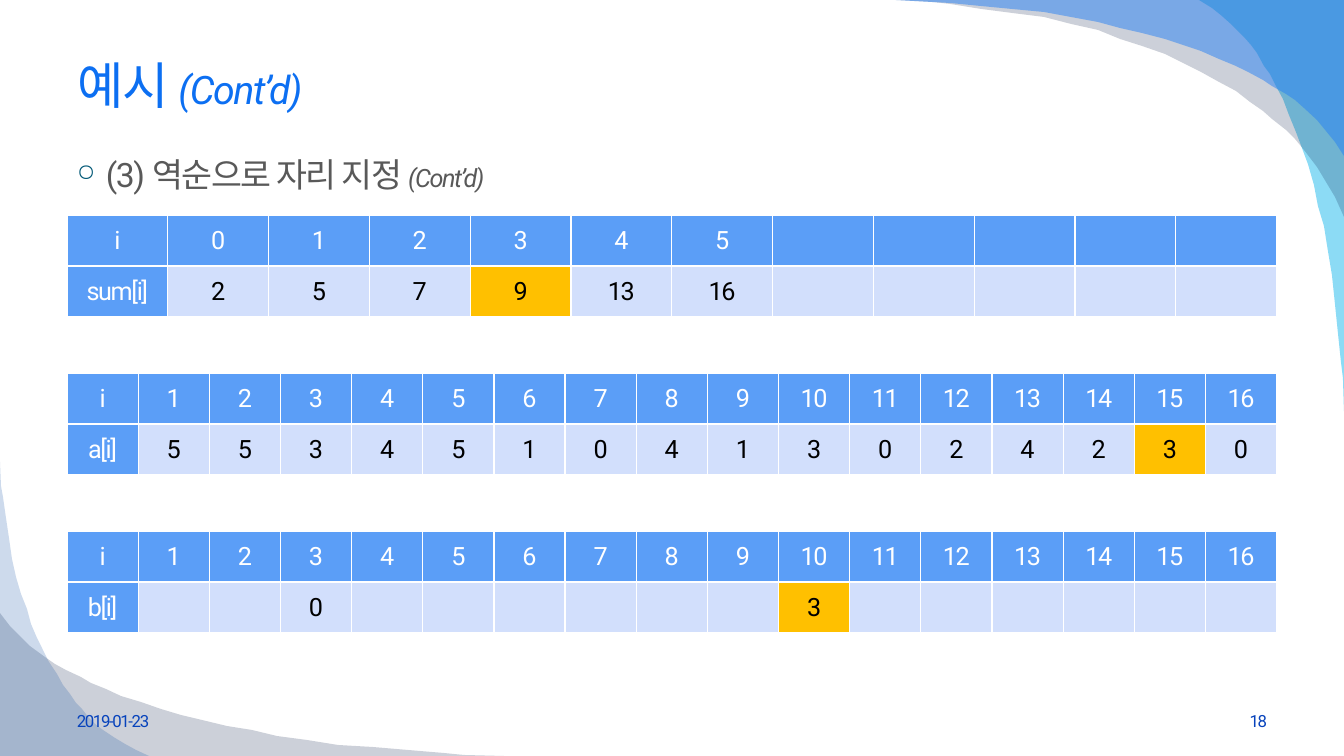
import pptx
import pptx.util
import pptx.dml.color
import pptx.enum.text
import lxml.etree

PX = 914400 / 100.8
FONT = "Roboto"
RGB = pptx.dml.color.RGBColor
ALIGN = pptx.enum.text.PP_ALIGN
MIDDLE = pptx.enum.text.MSO_ANCHOR.MIDDLE
TOP = pptx.enum.text.MSO_ANCHOR.TOP

WHITE = RGB(0xFF, 0xFF, 0xFF)
BLACK = RGB(0x00, 0x00, 0x00)
TITLE_BLUE = RGB(0x0C, 0x6F, 0xF2)
BODY_GREY = RGB(0x59, 0x59, 0x59)
FOOTER_BLUE = RGB(0x07, 0x43, 0xBC)
HEADER_BLUE = RGB(0x5B, 0x9E, 0xF7)
CELL_BLUE = RGB(0xD2, 0xDF, 0xFC)
HIGHLIGHT = RGB(0xFF, 0xC0, 0x00)
SWEEP_CYAN = RGB(0x00, 0xB1, 0xE9)
SWEEP_NAVY = RGB(0x02, 0x17, 0x41)
SWEEP_BLUE = RGB(0x24, 0x7F, 0xF4)
SWEEP_STEEL = RGB(0x08, 0x4A, 0xA1)


def px(length):
    return pptx.util.Emu(round(length * PX))


def add_run(paragraph, text, size, color, italic=False):
    run = paragraph.add_run()
    run.text = text
    run.font.name = FONT
    run.font.size = pptx.util.Pt(size)
    run.font.bold = False
    run.font.italic = italic
    run.font.color.rgb = color
    run.font._element.set("spc", "-100")


deck = pptx.Presentation()
deck.slide_width, deck.slide_height = px(1344), px(756)
slide = deck.slides.add_slide(deck.slide_layouts[5])

# Corner sweeps: one curve profile (along, across), stretched to each corner
PROFILE = [
    (0, 0), (.08, .01), (.12, .02), (.19, .04), (.26, .06), (.33, .08),
    (.39, .11), (.45, .14), (.5, .18), (.55, .21), (.6, .25), (.64, .29),
    (.68, .33), (.72, .38), (.76, .42), (.79, .47), (.82, .51), (.84, .55),
    (.87, .6), (.89, .64), (.91, .69), (.94, .77), (.96, .84), (.98, .91),
    (1, 1),
]
# tip, corner, end, colour, opacity in percent
sweeps = [
    ((1344, 411), (1344, 0), (1199, 0), SWEEP_CYAN, 45),
    ((896, 0), (1344, 0), (1344, 217), SWEEP_NAVY, 20),
    ((896, 0), (1344, 0), (1344, 156), SWEEP_BLUE, 49),
    ((504, 756), (0, 756), (0, 613), SWEEP_NAVY, 20),
    ((0, 462), (0, 756), (149, 756), SWEEP_STEEL, 20),
]
for tip, corner, end, color, opacity in sweeps:
    curve = [
        tuple(t + along * (c - t) + across * (e - c) for t, c, e in zip(tip, corner, end))
        for along, across in PROFILE
    ]
    outline = slide.shapes.build_freeform(*corner, scale=PX)
    outline.add_line_segments(curve, close=True)
    sweep = outline.convert_to_shape()
    sweep.shadow.inherit = False
    sweep.line.fill.background()
    sweep.fill.solid()
    sweep.fill.fore_color.rgb = color
    tint = sweep.fill._xPr.find(".//" + pptx.oxml.ns.qn("a:srgbClr"))
    lxml.etree.SubElement(tint, pptx.oxml.ns.qn("a:alpha"), val=str(opacity * 1000))

# Title, in front of the sweeps
title = slide.shapes.title
title.element.getparent().append(title.element)
title.left, title.top, title.width, title.height = px(67), px(33), px(1210), px(102)
title.text_frame.auto_size = pptx.enum.text.MSO_AUTO_SIZE.NONE
title.text_frame.vertical_anchor = MIDDLE
heading = title.text_frame.paragraphs[0]
heading.alignment = ALIGN.LEFT
add_run(heading, "예시 ", 36, TITLE_BLUE)
add_run(heading, "(Cont’d)", 28, TITLE_BLUE, italic=True)

# Step line, date and page number
lines = [
    (67, 149, 1210, 60, TOP, ALIGN.LEFT, BODY_GREY,
     [("(3) 역순으로 자리 지정 ", 24, False), ("(Cont’d)", 18, True)], True),
    (67, 701, 313, 40, MIDDLE, ALIGN.LEFT, FOOTER_BLUE, [("2019-01-23", 12, False)], False),
    (964, 701, 313, 40, MIDDLE, ALIGN.RIGHT, FOOTER_BLUE, [("18", 12, False)], False),
]
for left, top, width, height, anchor, alignment, color, runs, bulleted in lines:
    frame = slide.shapes.add_textbox(px(left), px(top), px(width), px(height)).text_frame
    frame.word_wrap = True
    frame.vertical_anchor = anchor
    line = frame.paragraphs[0]
    line.alignment = alignment
    if bulleted:
        properties = line._p.get_or_add_pPr()
        properties.set("marL", str(px(29)))
        properties.set("indent", str(-px(29)))
        bullet_color = lxml.etree.SubElement(properties, pptx.oxml.ns.qn("a:buClr"))
        lxml.etree.SubElement(bullet_color, pptx.oxml.ns.qn("a:srgbClr"), val="005876")
        lxml.etree.SubElement(properties, pptx.oxml.ns.qn("a:buSzPct"), val="70000")
        lxml.etree.SubElement(properties, pptx.oxml.ns.qn("a:buChar"), char="○")
    for text, size, italic in runs:
        add_run(line, text, size, color, italic)

# Arrays: label, indexes, values by index, column count, highlighted index
arrays = [
    ("sum[i]", range(6), dict(enumerate([2, 5, 7, 9, 13, 16])), 12, 3),
    ("a[i]", range(1, 17),
     dict(enumerate([5, 5, 3, 4, 5, 1, 0, 4, 1, 3, 0, 2, 4, 2, 3, 0], start=1)), 17, 15),
    ("b[i]", range(1, 17), {3: 0, 10: 3}, 17, 10),
]
for position, (label, indexes, values, columns, current) in enumerate(arrays):
    table = slide.shapes.add_table(
        2, columns, px(67), px(215 + 158 * position), px(1210), px(102)).table
    table.first_col = True
    table.horz_banding = False
    header = ["i", *indexes]
    contents = [label, *(values.get(index, "") for index in indexes)]
    for row, texts in enumerate([header, contents]):
        for column in range(columns):
            text = str(texts[column]) if column < len(texts) else ""
            is_header = row == 0 or column == 0
            is_current = not is_header and column < len(header) and header[column] == current
            cell = table.cell(row, column)
            cell.vertical_anchor = MIDDLE
            cell.fill.solid()
            cell.fill.fore_color.rgb = (
                HEADER_BLUE if is_header else HIGHLIGHT if is_current else CELL_BLUE)
            entry = cell.text_frame.paragraphs[0]
            entry.alignment = ALIGN.CENTER
            if text:
                add_run(entry, text, 18, WHITE if is_header else BLACK)

deck.save("out.pptx")
